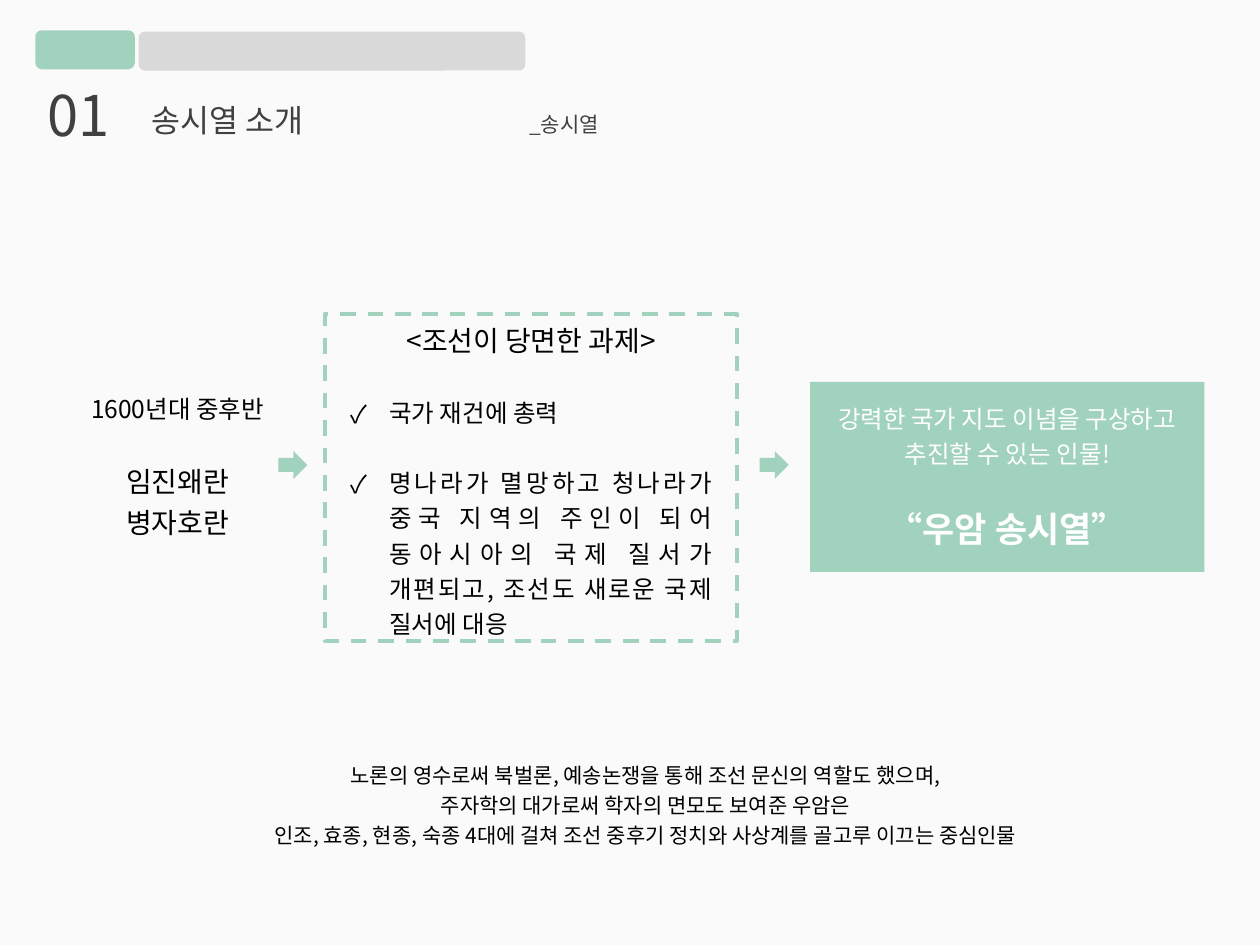
from dataclasses import dataclass

from lxml.etree import SubElement
from pptx import Presentation
from pptx.dml.color import RGBColor
from pptx.enum.dml import MSO_LINE
from pptx.enum.shapes import MSO_SHAPE
from pptx.enum.text import MSO_ANCHOR, MSO_AUTO_SIZE, PP_ALIGN
from pptx.oxml.ns import qn
from pptx.util import Inches, Pt

FONT = "Noto Sans CJK KR"
GREEN, GREY, DARK, BLACK, WHITE = "A1D2BE", "D9D9D9", "404040", "000000", "FFFFFF"


@dataclass
class Line:
    text: str
    size: float
    before: float = 0
    bold: bool = False
    bullet: bool = False
    align: PP_ALIGN = PP_ALIGN.CENTER
    spacing: float = 1.2


def colour(value: str) -> RGBColor:
    return RGBColor.from_string(value)


def format_span(span, size: float, value: str, bold: bool = False) -> None:
    span.font.size = Pt(size)
    span.font.bold = bold
    span.font.color.rgb = colour(value)
    span.font.name = FONT
    SubElement(span.font._element, qn("a:ea")).set("typeface", FONT)


def add_check_bullet(para) -> None:
    properties = para._p.get_or_add_pPr()
    properties.set("marL", str(Inches(0.31)))
    properties.set("indent", str(-Inches(0.31)))
    SubElement(properties, qn("a:buFont")).set("typeface", FONT)
    SubElement(properties, qn("a:buChar")).set("char", "✓")


def write(box, lines: list[Line], value: str, anchor=MSO_ANCHOR.TOP) -> None:
    frame = box.text_frame
    frame.word_wrap = True
    frame.vertical_anchor = anchor
    frame.text = "\n".join(line.text for line in lines)
    for para, line in zip(frame.paragraphs, lines):
        if line.bullet:
            add_check_bullet(para)
        para.alignment = line.align
        para.line_spacing = line.spacing
        if line.before:
            para.space_before = Pt(line.before)
        for span in para.runs:
            format_span(span, line.size, value, line.bold)


def add_block(page, kind, place: tuple, fill: str | None = GREEN):
    block = page.shapes.add_shape(kind, *map(Inches, place))
    block.shadow.inherit = False
    block.line.fill.background()
    if fill:
        block.fill.solid()
        block.fill.fore_color.rgb = colour(fill)
    else:
        block.fill.background()
    return block


def add_text(page, place: tuple, lines: list[Line], value: str) -> None:
    write(page.shapes.add_textbox(*map(Inches, place)), lines, value)


def set_title(page, heading: str, topic: str) -> None:
    title = page.shapes.title
    title.left, title.top, title.width, title.height = map(Inches, (1.1, 0.75, 6.1, 0.4))
    frame = title.text_frame
    frame.auto_size = MSO_AUTO_SIZE.NONE
    frame.vertical_anchor = MSO_ANCHOR.MIDDLE
    para = frame.paragraphs[0]
    para.alignment = PP_ALIGN.LEFT
    tabs = SubElement(para._p.get_or_add_pPr(), qn("a:tabLst"))
    SubElement(tabs, qn("a:tab"), pos=str(Inches(3)), algn="l")
    for text, size in ((heading + "\t", 18), (topic, 12)):
        span = para.add_run()
        span.text = text
        format_span(span, size, DARK)


def main() -> None:
    deck = Presentation()
    deck.slide_width, deck.slide_height = Inches(10), Inches(7.5)
    page = deck.slides.add_slide(deck.slide_layouts[5])
    page.background.fill.solid()
    page.background.fill.fore_color.rgb = colour("FAFAFA")

    # Header
    add_block(page, MSO_SHAPE.ROUNDED_RECTANGLE, (0.28, 0.24, 0.79, 0.31))
    add_block(page, MSO_SHAPE.ROUNDED_RECTANGLE, (1.1, 0.25, 3.07, 0.31), GREY)
    set_title(page, "송시열 소개", "_송시열")
    add_text(page, (0.28, 0.59, 0.81, 0.64),
             [Line("01", 32, align=PP_ALIGN.LEFT, spacing=1.0)], DARK)

    # Background of the period
    add_text(page, (0.62, 3.03, 1.58, 1.31), [
        Line("1600년대 중후반", 14),
        Line("임진왜란", 16, before=20),
        Line("병자호란", 16),
    ], BLACK)

    # Tasks facing the country
    tasks = add_block(page, MSO_SHAPE.RECTANGLE, (2.58, 2.49, 3.27, 2.6), None)
    tasks.line.color.rgb = colour(GREEN)
    tasks.line.width = Pt(2.25)
    tasks.line.dash_style = MSO_LINE.DASH
    tasks.text_frame.margin_left = tasks.text_frame.margin_right = Inches(0.2)
    items = (
        "국가 재건에 총력",
        "명나라가 멸망하고 청나라가 중국 지역의 주인이 되어 동아시아의 국제 질서가 "
        "개편되고, 조선도 새로운 국제 질서에 대응",
    )
    write(tasks, [Line("<조선이 당면한 과제>", 16)] + [
        Line(item, 14, before=20, bullet=True, align=PP_ALIGN.JUSTIFY) for item in items
    ], BLACK, MSO_ANCHOR.MIDDLE)

    # The person who answered them
    person = add_block(page, MSO_SHAPE.RECTANGLE, (6.43, 3.03, 3.13, 1.51))
    person.text_frame.margin_top = Inches(0.13)
    write(person, [
        Line("강력한 국가 지도 이념을 구상하고", 14),
        Line("추진할 수 있는 인물!", 14),
        Line("“우암 송시열”", 20, before=17.5, bold=True),
    ], WHITE)

    # Summary
    add_text(page, (0.91, 5.96, 8.43, 0.83), [
        Line("노론의 영수로써 북벌론, 예송논쟁을 통해 조선 문신의 역할도 했으며,", 12),
        Line("주자학의 대가로써 학자의 면모도 보여준 우암은", 12),
        Line("인조, 효종, 현종, 숙종 4대에 걸쳐 조선 중후기 정치와 사상계를 "
             "골고루 이끄는 중심인물", 12),
    ], BLACK)

    # Arrows between the stages
    for left in (2.21, 6.03):
        add_block(page, MSO_SHAPE.RIGHT_ARROW, (left, 3.58, 0.23, 0.22))

    deck.save("out.pptx")


if __name__ == "__main__":
    main()
